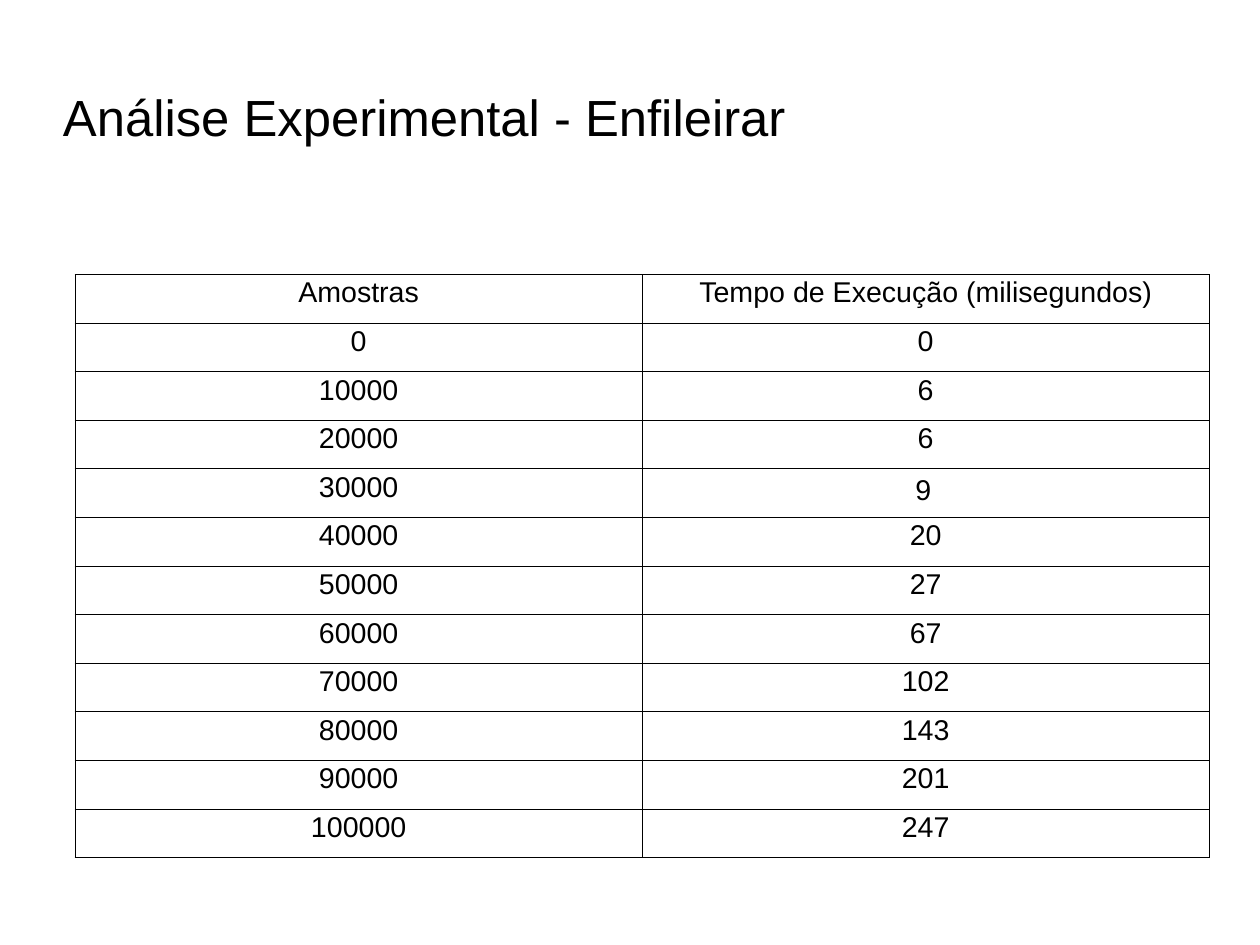
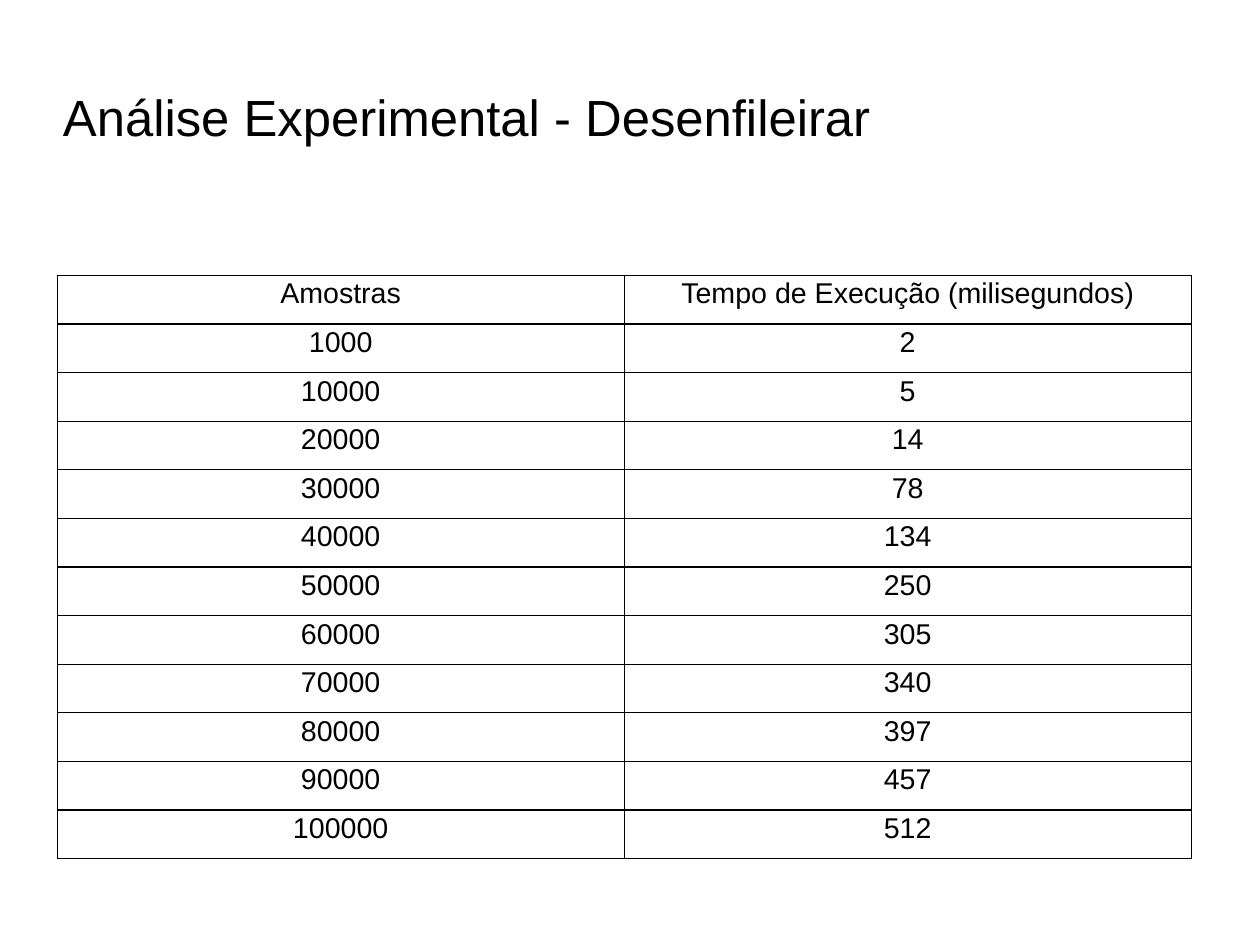
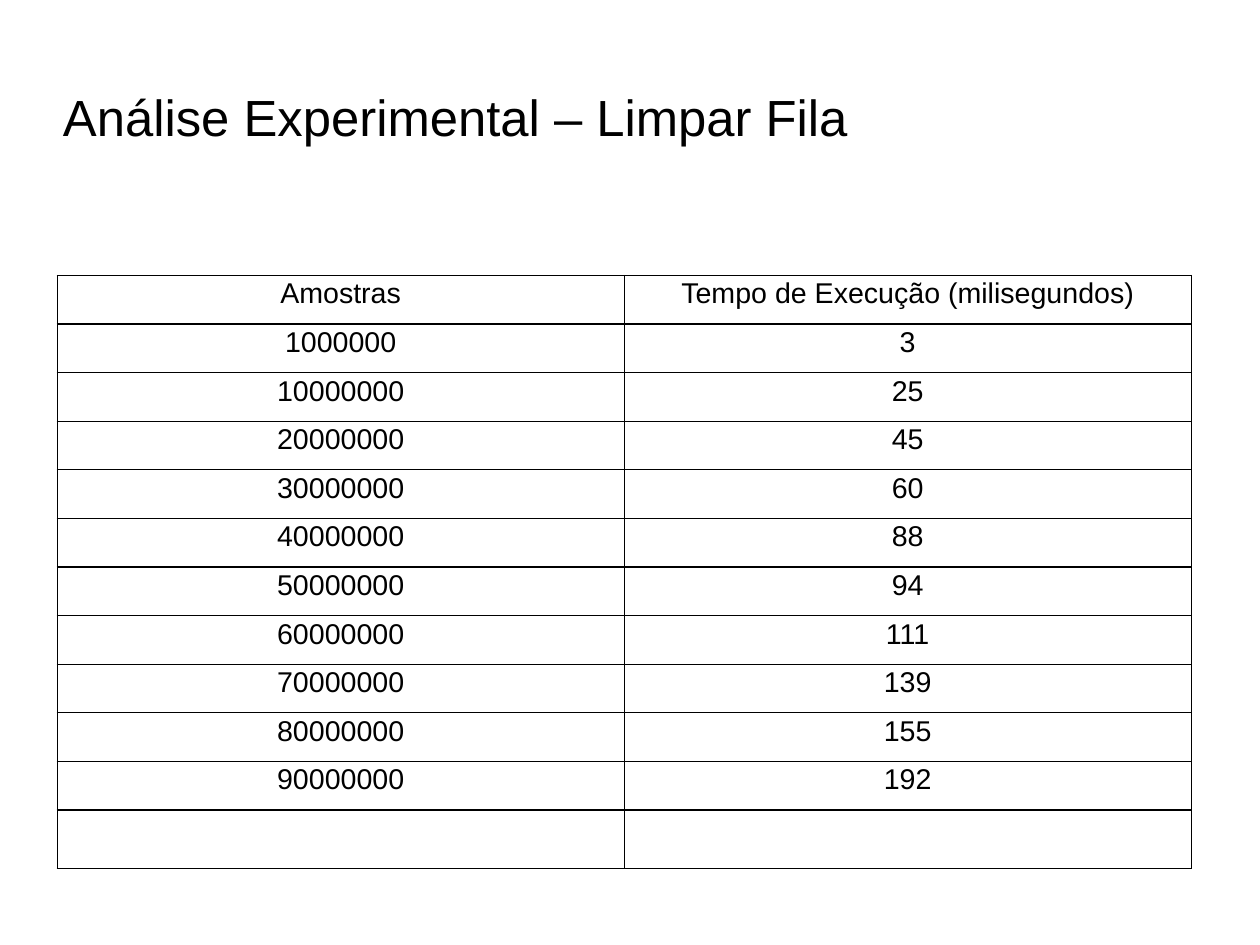
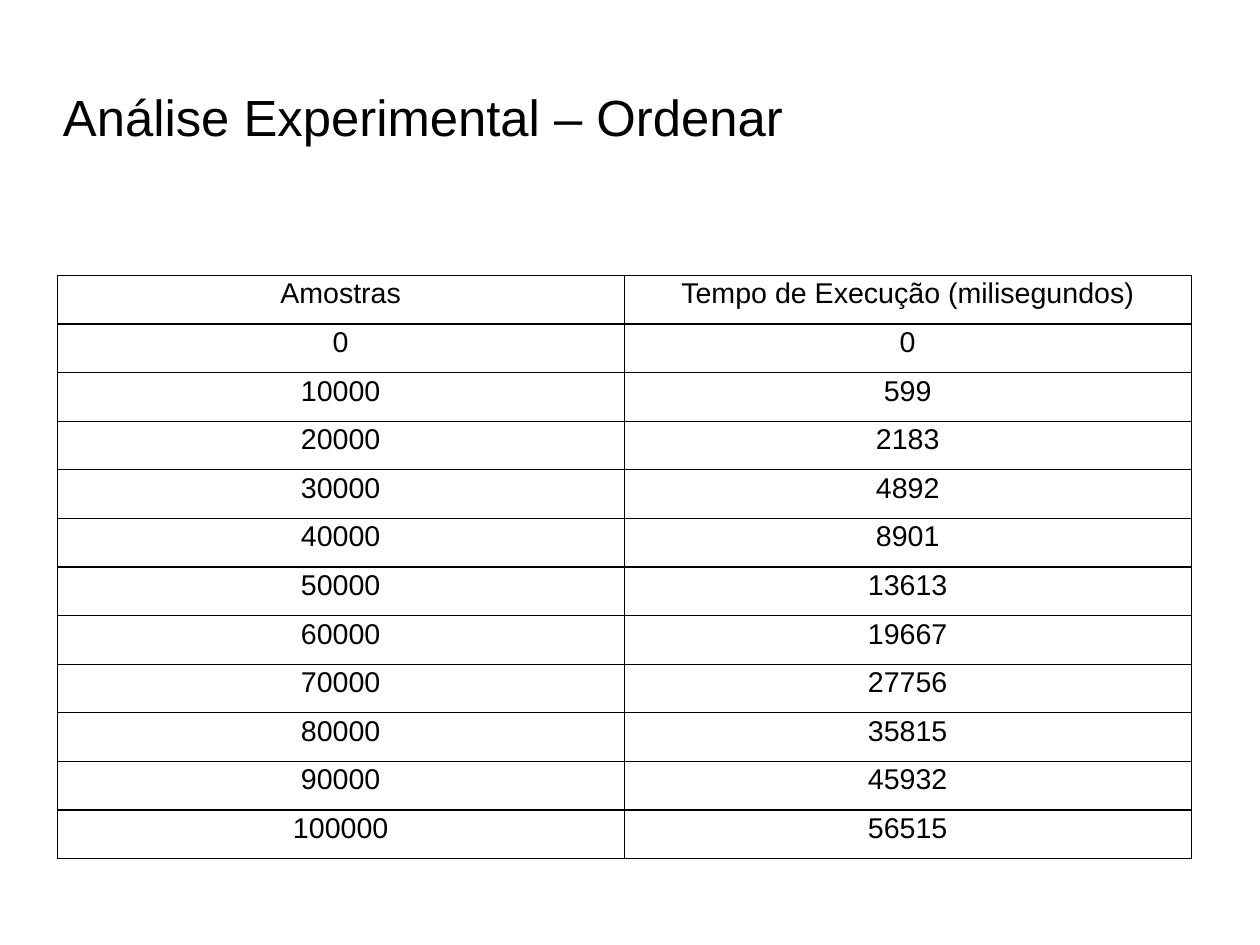
from lxml import etree
from pptx import Presentation
from pptx import util as u
from pptx.dml.color import RGBColor
from pptx.enum import text
from pptx.oxml import ns

# Content
HEADER = ("Amostras", "Tempo de Execução (milisegundos)")
TENS = [10000 * step for step in range(1, 11)]
SLIDES = [
    {"title": "Análise Experimental - Enfileirar",
     "samples": [0] + TENS,
     "times": [0, 6, 6, 9, 20, 27, 67, 102, 143, 201, 247],
     "corner": (1.67, 6.1),
     "indented": (4, 1)},
    {"title": "Análise Experimental - Desenfileirar",
     "samples": [1000] + TENS,
     "times": [2, 5, 14, 78, 134, 250, 305, 340, 397, 457, 512]},
    {"title": "Análise Experimental – Limpar Fila",
     "samples": [1000000] + [1000 * count for count in TENS[:-1]] + [""],
     "times": [3, 25, 45, 60, 88, 94, 111, 139, 155, 192, ""]},
    {"title": "Análise Experimental – Ordenar",
     "samples": [0] + TENS,
     "times": [0, 599, 2183, 4892, 8901, 13613, 19667, 27756, 35815,
               45932, 56515]},
]

# Shared look
COLORS = {"text": "000000", "border": "000000", "cell": "FFFFFF"}
FONT = "Arial"
TITLE_SIZE, CELL_SIZE = 32, 18
TITLE_BOX = (1.4, 0.8, 19.5, 3.46)
TITLE_FORMAT = {"word_wrap": True, "vertical_anchor": text.MSO_ANCHOR.MIDDLE,
                "margin_left": 0, "margin_top": u.Cm(0.1),
                "margin_right": 0, "margin_bottom": 0}
CENTERED = {"alignment": text.PP_ALIGN.CENTER, "line_spacing": 0.89}
TABLE_CORNER = (1.27, 6.12)
COLUMN_WIDTH, ROW_HEIGHT, EMPTY_ROW_HEIGHT = 12.6, 1.08, 1.31
INDENT = 6.07
BORDER_WIDTH = u.Pt(0.75)


def apply_format(target, values):
    for name, value in values.items():
        setattr(target, name, value)


def write(paragraph, content, size):
    paragraph.text = str(content)
    apply_format(paragraph.font, {"name": FONT, "size": u.Pt(size)})
    for run in paragraph.runs:
        apply_format(run.font, {"name": FONT, "size": u.Pt(size)})
        run.font.color.rgb = RGBColor.from_string(COLORS["text"])


def add_title(slide, title):
    box = slide.shapes.add_textbox(*map(u.Cm, TITLE_BOX))
    apply_format(box.text_frame, TITLE_FORMAT)
    write(box.text_frame.paragraphs[0], title, TITLE_SIZE)


def add_borders(cell):
    properties = cell._tc.get_or_add_tcPr()
    for side in ("lnL", "lnR", "lnT", "lnB"):
        line = etree.SubElement(properties, ns.qn("a:" + side),
                                w=str(BORDER_WIDTH))
        fill = etree.SubElement(line, ns.qn("a:solidFill"))
        etree.SubElement(fill, ns.qn("a:srgbClr"), val=COLORS["border"])


def add_results(slide, rows, corner, indented):
    width, height = COLUMN_WIDTH * len(HEADER), ROW_HEIGHT * len(rows)
    table = slide.shapes.add_table(
        len(rows), len(HEADER), *map(u.Cm, (*corner, width, height))).table
    apply_format(table, {"first_row": False, "horz_banding": False})
    for column in table.columns:
        column.width = u.Cm(COLUMN_WIDTH)
    for row_index, values in enumerate(rows):
        filled = any(value != "" for value in values)
        table.rows[row_index].height = u.Cm(
            ROW_HEIGHT if filled else EMPTY_ROW_HEIGHT)
        for column_index, value in enumerate(values):
            cell = table.cell(row_index, column_index)
            paragraph = cell.text_frame.paragraphs[0]
            write(paragraph, value, CELL_SIZE)
            if (row_index, column_index) == indented:
                cell.margin_left = u.Cm(INDENT)
            else:
                apply_format(paragraph, CENTERED)
            add_borders(cell)
            cell.fill.solid()
            cell.fill.fore_color.rgb = RGBColor.from_string(COLORS["cell"])


def main():
    presentation = Presentation()
    apply_format(presentation, {"slide_width": u.Cm(28),
                                "slide_height": u.Cm(21)})
    for content in SLIDES:
        slide = presentation.slides.add_slide(presentation.slide_layouts[6])
        add_title(slide, content["title"])
        rows = [HEADER, *zip(content["samples"], content["times"])]
        # The indented cell is counted below the header row
        row, column = content.get("indented", (None, None))
        indented = (row + 1, column) if row is not None else None
        if indented:
            indented = (row, column)
        add_results(slide, rows, content.get("corner", TABLE_CORNER), indented)
    presentation.save("out.pptx")


if __name__ == "__main__":
    main()
